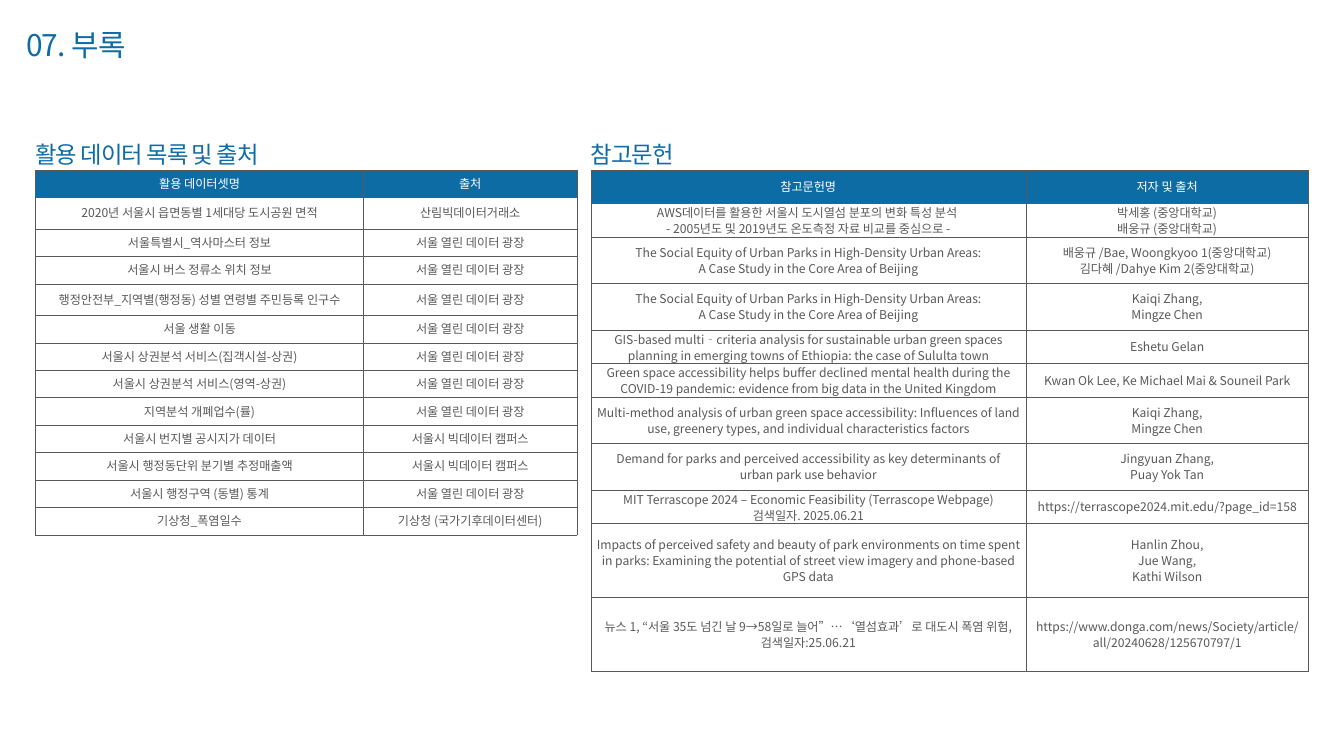
from dataclasses import dataclass
from itertools import groupby

from lxml.etree import SubElement
from pptx import Presentation
from pptx.dml.color import RGBColor
from pptx.enum.text import MSO_ANCHOR, PP_ALIGN
from pptx.oxml.ns import qn
from pptx.util import Pt


@dataclass(frozen=True)
class Theme:
    """Colours, fonts and sizes shared by the slide."""
    blue: RGBColor = RGBColor(0x0E, 0x6C, 0xA5)
    white: RGBColor = RGBColor(0xFF, 0xFF, 0xFF)
    grey: RGBColor = RGBColor(0x59, 0x59, 0x59)
    hangul_font: str = "Calibri"
    other_font: str = "Noto Sans CJK KR"
    title_size: int = 32
    heading_size: int = 25
    cell_size: int = 13
    border: float = 0.35


THEME = Theme()
OPEN_DATA = "서울 열린 데이터 광장"
CAMPUS = "서울시 빅데이터 캠퍼스"
EQUITY_STUDY = ("The Social Equity of Urban Parks in High-Density Urban Areas:\n"
                "A Case Study in the Core Area of Beijing")
ZHANG_CHEN = "Kaiqi Zhang,\nMingze Chen"

DATASETS = [
    ("활용 데이터셋명", "출처"),
    ("2020년 서울시 읍면동별 1세대당 도시공원 면적", "산림빅데이터거래소"),
    ("서울특별시_역사마스터 정보", OPEN_DATA),
    ("서울시 버스 정류소 위치 정보", OPEN_DATA),
    ("행정안전부_지역별(행정동) 성별 연령별 주민등록 인구수", OPEN_DATA),
    ("서울 생활 이동", OPEN_DATA),
    ("서울시 상권분석 서비스(집객시설-상권)", OPEN_DATA),
    ("서울시 상권분석 서비스(영역-상권)", OPEN_DATA),
    ("지역분석 개폐업수(률)", OPEN_DATA),
    ("서울시 번지별 공시지가 데이터", CAMPUS),
    ("서울시 행정동단위 분기별 추정매출액", CAMPUS),
    ("서울시 행정구역 (동별) 통계", OPEN_DATA),
    ("기상청_폭염일수", "기상청 (국가기후데이터센터)"),
]
DATASET_HEIGHTS = [33.8 if row in (1, 4) else 29.4 for row in range(len(DATASETS))]

REFERENCES = [
    ("참고문헌명", "저자 및 출처"),
    ("AWS데이터를 활용한 서울시 도시열섬 분포의 변화 특성 분석 \v"
     "- 2005년도 및 2019년도 온도측정 자료 비교를 중심으로 -",
     "박세홍 (중앙대학교)\n배웅규 (중앙대학교)"),
    (EQUITY_STUDY,
     "배웅규 /Bae, Woongkyoo 1(중앙대학교)\n김다혜 /Dahye Kim 2(중앙대학교)"),
    (EQUITY_STUDY, ZHANG_CHEN),
    ("GIS-based multi‐criteria analysis for sustainable urban green spaces\n"
     "planning in emerging towns of Ethiopia: the case of Sululta town",
     "Eshetu Gelan"),
    ("Green space accessibility helps buffer declined mental health during the\n"
     "COVID-19 pandemic: evidence from big data in the United Kingdom",
     "Kwan Ok Lee, Ke Michael Mai & Souneil Park"),
    ("Multi-method analysis of urban green space accessibility: Influences of land "
     "use, greenery types, and individual characteristics factors", ZHANG_CHEN),
    ("Demand for parks and perceived accessibility as key determinants of\n"
     "urban park use behavior", "Jingyuan Zhang,\nPuay Yok Tan"),
    ("MIT Terrascope 2024 – Economic Feasibility (Terrascope Webpage)\n"
     "검색일자. 2025.06.21", "https://terrascope2024.mit.edu/?page_id=158"),
    ("Impacts of perceived safety and beauty of park environments on time spent\n"
     "in parks: Examining the potential of street view imagery and phone-based\n"
     "GPS data", "Hanlin Zhou,\nJue Wang,\nKathi Wilson"),
    ("뉴스 1, “서울 35도 넘긴 날 9→58일로 늘어”…‘열섬효과’로 대도시 폭염 위험,\n"
     "검색일자:25.06.21",
     "https://www.donga.com/news/Society/article/all/20240628/125670797/1"),
]
REFERENCE_HEIGHTS = [36, 36, 49.7, 49.7, 36, 36, 49.7, 49.7, 36, 79.2, 79.2]


def is_hangul(character):
    """Tell whether a character is a Hangul syllable."""
    return "가" <= character <= "힣"


def split_scripts(text):
    """Yield (hangul, part) pairs; a space between Hangul counts as Hangul."""
    def belongs(index):
        if text[index] == " " and 0 < index < len(text) - 1:
            return is_hangul(text[index - 1]) and is_hangul(text[index + 1])
        return is_hangul(text[index])

    for hangul, indexes in groupby(range(len(text)), belongs):
        yield hangul, "".join(text[index] for index in indexes)


def write_text(frame, text, size, color, line_spacing, alignment, tracking=0):
    """Fill a text frame, one paragraph a line, with a font for each script."""
    for number, content in enumerate(text.split("\n")):
        paragraph = frame.add_paragraph() if number else frame.paragraphs[0]
        paragraph.alignment = alignment
        paragraph.line_spacing = line_spacing
        paragraph.font.size = Pt(size)
        paragraph.font.color.rgb = color
        for line_number, line in enumerate(content.split("\v")):
            if line_number:
                paragraph.add_line_break()
            for hangul, part in split_scripts(line):
                run = paragraph.add_run()
                run.text = part
                run.font.name = THEME.hangul_font if hangul else THEME.other_font
                properties = run.font._element
                SubElement(properties, qn("a:ea"), typeface=THEME.other_font)
                if tracking:
                    properties.set("spc", str(tracking * 100))


def add_heading(slide, text, size, left, top, width, height):
    """Place a blue heading in the given box."""
    frame = slide.shapes.add_textbox(Pt(left), Pt(top), Pt(width), Pt(height)).text_frame
    frame.word_wrap = True
    frame.margin_left = frame.margin_right = frame.margin_top = frame.margin_bottom = 0
    write_text(frame, text, size, THEME.blue, 1.19, PP_ALIGN.LEFT, tracking=-1)


def add_borders(cell):
    """Draw thin grey lines on all four sides of a cell."""
    properties = cell._tc.get_or_add_tcPr()
    for position, side in enumerate(("a:lnL", "a:lnR", "a:lnT", "a:lnB")):
        line = SubElement(properties, qn(side), w=str(Pt(THEME.border)))
        fill = SubElement(line, qn("a:solidFill"))
        SubElement(fill, qn("a:srgbClr"), val=str(THEME.grey))
        properties.insert(position, line)


def format_cell(cell, text, fill, color):
    """Write one centred cell with its fill and borders."""
    cell.margin_left = cell.margin_right = cell.margin_top = cell.margin_bottom = Pt(1.5)
    cell.vertical_anchor = MSO_ANCHOR.MIDDLE
    cell.fill.solid()
    cell.fill.fore_color.rgb = fill
    add_borders(cell)
    write_text(cell.text_frame, text, THEME.cell_size, color, 0.92, PP_ALIGN.CENTER)


def add_source_section(slide, heading, rows, heights, widths, left, top):
    """Place a heading and the table of sources below it."""
    add_heading(slide, heading, THEME.heading_size, left, top, sum(widths), 35)
    table = slide.shapes.add_table(len(rows), len(widths), Pt(left), Pt(top + 38),
                                   Pt(sum(widths)), Pt(sum(heights))).table
    table.first_row = table.horz_banding = False
    for column, width in zip(table.columns, widths):
        column.width = Pt(width)
    for number, (row, texts, height) in enumerate(zip(table.rows, rows, heights)):
        row.height = Pt(height)
        fill, color = (THEME.white, THEME.grey) if number else (THEME.blue, THEME.white)
        for cell, text in zip(row.cells, texts):
            format_cell(cell, text, fill, color)


def main():
    """Build the appendix slide and save it."""
    presentation = Presentation()
    presentation.slide_width, presentation.slide_height = Pt(1440), Pt(810)
    slide = presentation.slides.add_slide(presentation.slide_layouts[6])
    add_source_section(slide, "활용 데이터 목록 및 출처", DATASETS, DATASET_HEIGHTS,
                       (351.5, 228.5), 38, 144)
    add_source_section(slide, "참고문헌", REFERENCES, REFERENCE_HEIGHTS,
                       (466, 303), 633, 144)
    add_heading(slide, "07. 부록", THEME.title_size, 28, 21, 115, 45)
    presentation.save("out.pptx")


if __name__ == "__main__":
    main()
